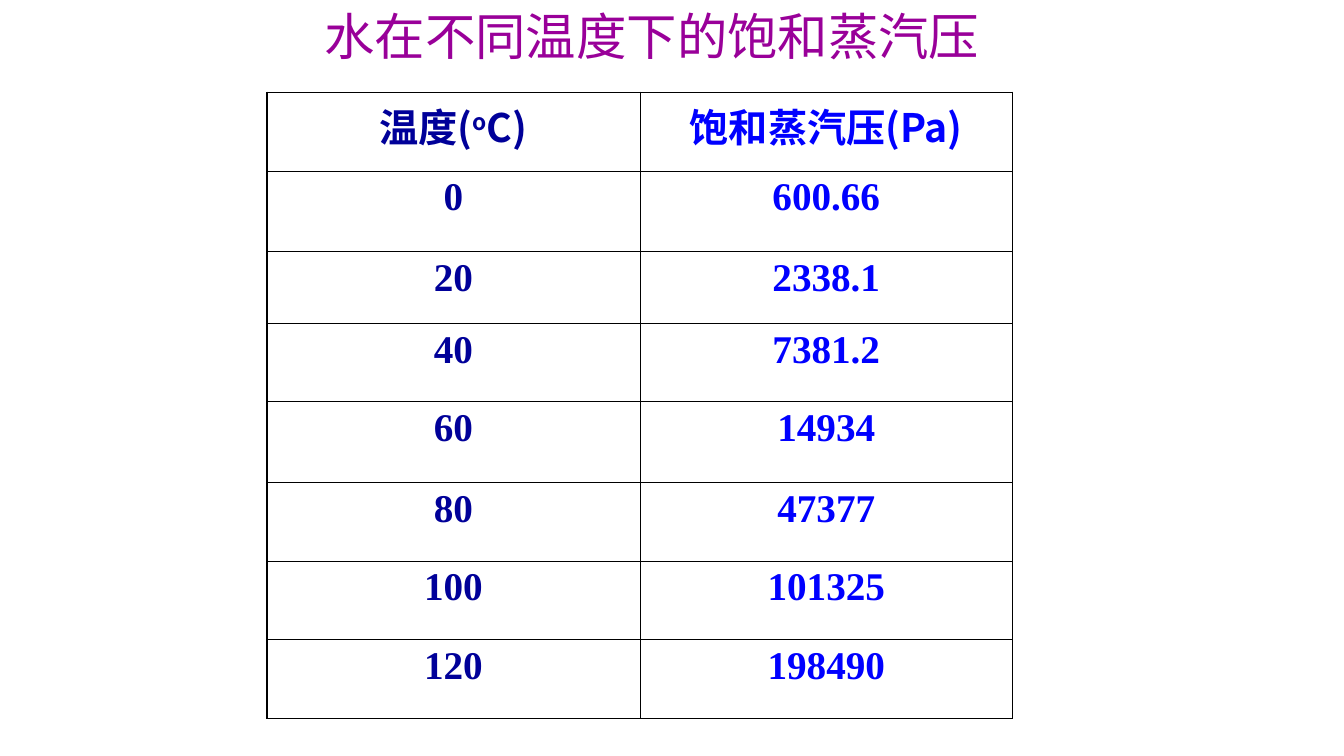
from dataclasses import dataclass

from lxml.etree import SubElement
from pptx import Presentation
from pptx.dml.color import RGBColor
from pptx.enum.text import MSO_ANCHOR as Anchor, MSO_AUTO_SIZE as AutoSize, PP_ALIGN as Align
from pptx.oxml.ns import qn
from pptx.util import Inches, Pt


@dataclass(frozen=True)
class Theme:
    title_color: str = "990099"
    column_colors: tuple = ("000099", "0000FF")
    border_color: str = "000000"
    title_size: float = 36
    table_size: float = 28
    inner_border: float = 0.45
    outer_border: float = 1.08
    latin_font: str = "Times New Roman"
    chinese_font: str = "Noto Sans CJK SC"


class SlideBuilder:
    def __init__(self, presentation, theme):
        self.theme = theme
        self.width = presentation.slide_width
        self.height = presentation.slide_height
        self.slide = presentation.slides.add_slide(presentation.slide_layouts[5])

    def across(self, percent):
        return round(self.width * percent / 100)

    def down(self, percent):
        return round(self.height * percent / 100)

    def add_run(self, paragraph, text, color, font_name, size, bold=False, raised=0):
        run = paragraph.add_run()
        run.text = text
        for name, value in {"name": font_name, "size": Pt(size), "bold": bold}.items():
            setattr(run.font, name, value)
        run.font.color.rgb = RGBColor.from_string(color)
        properties = run._r.get_or_add_rPr()
        SubElement(properties, qn("a:ea"), typeface=self.theme.chinese_font)
        if raised:
            properties.set("baseline", str(raised * 1000))

    def add_title(self, text, left, top, width, height):
        title = self.slide.shapes.title
        place = {
            "left": self.across(left),
            "top": self.down(top),
            "width": self.across(width),
            "height": self.down(height),
        }
        for name, value in place.items():
            setattr(title, name, value)
        frame = title.text_frame
        layout = {"word_wrap": True, "auto_size": AutoSize.NONE, "vertical_anchor": Anchor.TOP}
        for name, value in layout.items():
            setattr(frame, name, value)
        paragraph = frame.paragraphs[0]
        paragraph.alignment = Align.LEFT
        theme = self.theme
        self.add_run(paragraph, text, theme.title_color, theme.latin_font, theme.title_size)

    def add_borders(self, cell, outer_sides):
        properties = cell._tc.get_or_add_tcPr()
        for side, is_outer in outer_sides.items():
            weight = self.theme.outer_border if is_outer else self.theme.inner_border
            line = SubElement(properties, qn(f"a:ln{side}"), w=str(Pt(weight)))
            fill = SubElement(line, qn("a:solidFill"))
            SubElement(fill, qn("a:srgbClr"), val=self.theme.border_color)

    def add_table(self, headers, rows, left, top, column_width, row_heights):
        theme = self.theme
        contents = [headers] + [[[(value, 0)] for value in row] for row in rows]
        row_count, column_count = len(contents), len(headers)
        table = self.slide.shapes.add_table(
            row_count,
            column_count,
            self.across(left),
            self.down(top),
            self.across(column_width * column_count),
            self.down(sum(row_heights)),
        ).table
        for flag in ("first_row", "horz_banding"):
            setattr(table, flag, False)
        for column in table.columns:
            column.width = self.across(column_width)
        for row_index, (row_height, row) in enumerate(zip(row_heights, contents)):
            table.rows[row_index].height = self.down(row_height)
            font_name = theme.latin_font if row_index else theme.chinese_font
            for column_index, parts in enumerate(row):
                cell = table.cell(row_index, column_index)
                self.add_borders(cell, {
                    "L": column_index == 0,
                    "R": column_index == column_count - 1,
                    "T": row_index == 0,
                    "B": row_index == row_count - 1,
                })
                cell.fill.background()
                paragraph = cell.text_frame.paragraphs[0]
                paragraph.alignment = Align.CENTER
                for text, raised in parts:
                    self.add_run(paragraph, text, theme.column_colors[column_index],
                                 font_name, theme.table_size, True, raised)


def main():
    presentation = Presentation()
    presentation.slide_width = Inches(13.34)
    presentation.slide_height = Inches(7.5)
    builder = SlideBuilder(presentation, Theme())
    builder.add_title("水在不同温度下的饱和蒸汽压", left=23.39, top=0, width=51.95, height=9.33)
    builder.add_table(
        headers=[[("温度(", 0), ("o", 30), ("C)", 0)], [("饱和蒸汽压(Pa)", 0)]],
        rows=[
            ("0", "600.66"),
            ("20", "2338.1"),
            ("40", "7381.2"),
            ("60", "14934"),
            ("80", "47377"),
            ("100", "101325"),
            ("120", "198490"),
        ],
        left=19.87,
        top=12.2,
        column_width=27.74,
        row_heights=[10.4, 10.67, 9.47, 10.4, 10.67, 10.4, 10.4, 10.4],
    )
    presentation.save("out.pptx")


if __name__ == "__main__":
    main()
